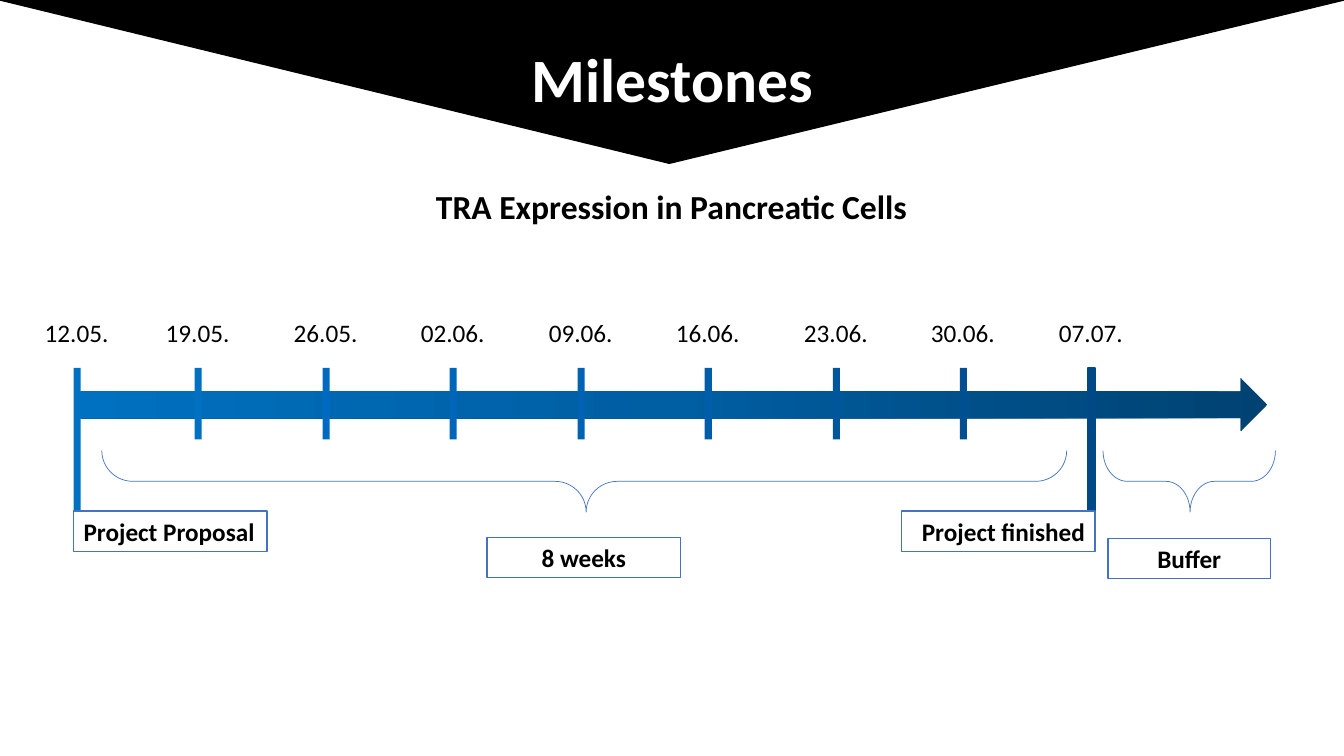
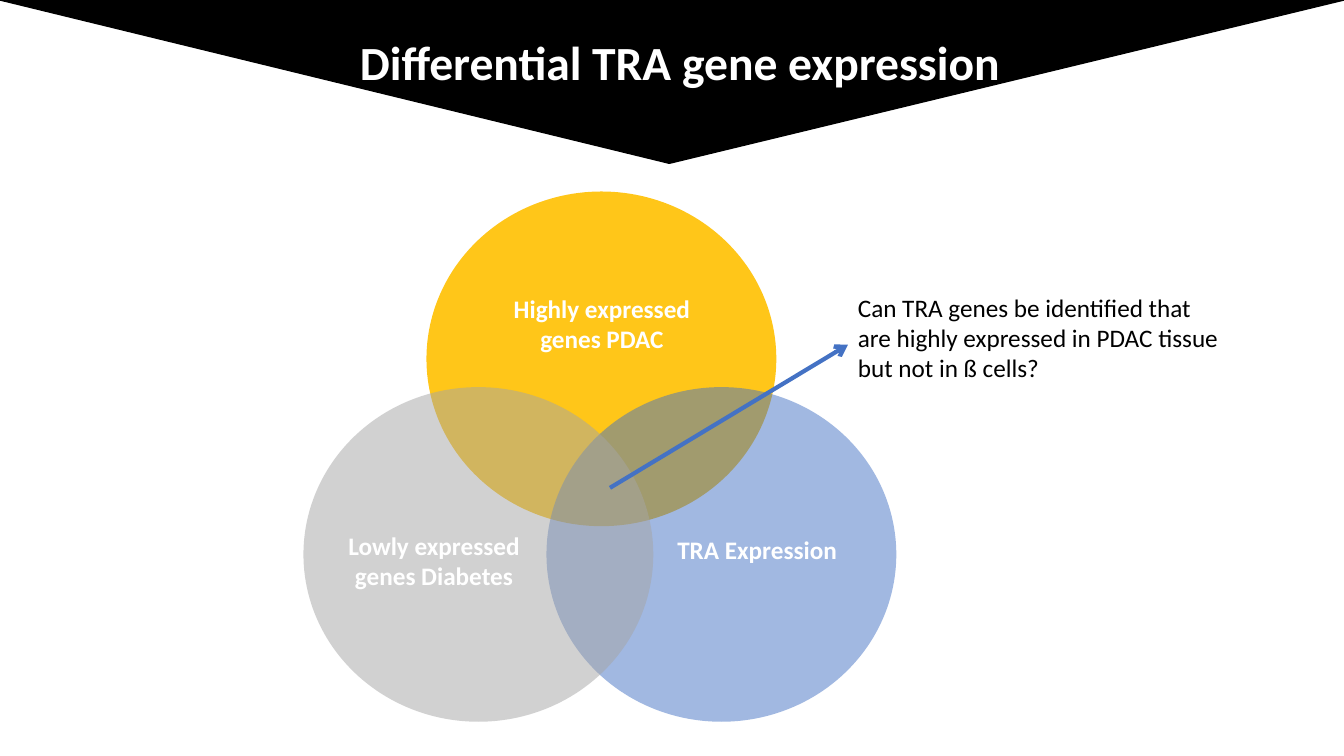
from copy import deepcopy

from lxml import etree
from pptx import Presentation
from pptx import util as u
from pptx.dml.color import RGBColor
from pptx.enum import shapes as kinds, text as t
from pptx.oxml.ns import qn

PX = u.Inches(1) // 100
SLIDE_WIDTH, SLIDE_HEIGHT = 1333, 750
FONT = "Calibri"

BLACK = RGBColor(0x00, 0x00, 0x00)
WHITE = RGBColor(0xFF, 0xFF, 0xFF)
BLUE = RGBColor(0x44, 0x72, 0xC4)
GOLD = RGBColor(0xFF, 0xC0, 0x00)
GREY = RGBColor(0xA5, 0xA5, 0xA5)
ARROW_COLOURS = [
    RGBColor(0x00, 0x42, 0x72),
    RGBColor(0x00, 0x5E, 0xA2),
    RGBColor(0x00, 0x70, 0xC0),
]

LEFT, CENTER, RIGHT = t.PP_ALIGN.LEFT, t.PP_ALIGN.CENTER, t.PP_ALIGN.RIGHT
SHAPE = kinds.MSO_SHAPE

MILESTONES = [
    ("12.05.", RGBColor(0x00, 0x70, 0xC0)),
    ("19.05.", RGBColor(0x00, 0x70, 0xC0)),
    ("26.05.", RGBColor(0x00, 0x6A, 0xC0)),
    ("02.06.", RGBColor(0x00, 0x66, 0xB9)),
    ("09.06.", RGBColor(0x00, 0x62, 0xB2)),
    ("16.06.", RGBColor(0x00, 0x5D, 0xA9)),
    ("23.06.", RGBColor(0x00, 0x56, 0x9D)),
    ("30.06.", RGBColor(0x00, 0x4F, 0x92)),
    ("07.07.", RGBColor(0x00, 0x48, 0x86)),
]
FIRST_TICK, SECOND_TICK, LAST_TICK = 73, 193, 1079
TICK_WIDTH, TICK_HEIGHT, LONG_TICK_HEIGHT = 7, 71, 143
DATE_WIDTH = 84


def px(*lengths):
    return [u.Emu(length * PX) for length in lengths]


def write(shape, content, size=18, colour=BLACK, bold=False, align=CENTER, wrap=True):
    frame = shape.text_frame
    frame.text = content
    frame.word_wrap = wrap
    paragraph = frame.paragraphs[0]
    paragraph.alignment = align
    font = paragraph.runs[0].font
    font.name, font.size, font.bold = FONT, u.Pt(size), bold
    font.color.rgb = colour


def add_shape(shapes, kind, box, fill=None, line=None, line_width=1):
    shape = shapes.add_shape(kind, *px(*box))
    shape.shadow.inherit = False
    if fill is None:
        shape.fill.background()
    else:
        shape.fill.solid()
        shape.fill.fore_color.rgb = fill
    if line is None:
        shape.line.fill.background()
    else:
        shape.line.color.rgb = line
        shape.line.width = u.Pt(line_width)
    return shape


def add_text(shapes, box, content, **style):
    write(shapes.add_textbox(*px(*box)), content, **style)


def add_callout(shapes, box, content, align=CENTER):
    callout = add_shape(shapes, SHAPE.RECTANGLE, box, WHITE, BLUE)
    write(callout, content, bold=True, align=align)


def add_brace(shapes, left, top, width, height, curl, tip):
    """Add a brace that opens upwards and fills the given box."""
    shift = (width - height) // 2
    box = (left + shift, top - shift, height, width)
    brace = add_shape(shapes, SHAPE.LEFT_BRACE, box, line=BLUE, line_width=0.5)
    brace.rotation = 270
    brace.adjustments[0], brace.adjustments[1] = curl, tip


def add_circle(shapes, left, top, colour, opacity):
    circle = add_shape(shapes, SHAPE.OVAL, (left, top, 347, 332), colour)
    colour_node = circle.fill._xPr.find(".//" + qn("a:srgbClr"))
    etree.SubElement(colour_node, qn("a:alpha"), val=str(opacity * 1000))


def add_arrow(shapes, start, end):
    arrow = shapes.add_connector(kinds.MSO_CONNECTOR.STRAIGHT, *px(*start, *end))
    arrow.line.color.rgb = BLUE
    arrow.line.width = u.Pt(3)
    etree.SubElement(arrow.line._get_or_add_ln(), qn("a:tailEnd"), type="arrow")
    etree.SubElement(arrow._element.spPr, qn("a:effectLst"))


def add_time_arrow(shapes, box):
    arrow = add_shape(shapes, SHAPE.RIGHT_ARROW, box)
    arrow.fill.gradient()
    arrow.fill.gradient_angle = 180
    stops = arrow._element.spPr.find(".//" + qn("a:gsLst"))
    stops.append(deepcopy(stops[0]))
    for stop, colour, position in zip(
        arrow.fill.gradient_stops, ARROW_COLOURS, (0, 0.5, 1)
    ):
        stop.color.rgb = colour
        stop.position = position


def add_slide(presentation, heading, box, size, align):
    """Add a slide with the black pointed band and its title."""
    slide = presentation.slides.add_slide(presentation.slide_layouts[5])
    band = add_shape(
        slide.shapes, SHAPE.ISOSCELES_TRIANGLE, (0, 0, SLIDE_WIDTH, 162), BLACK, BLACK
    )
    band.rotation = 180
    band.adjustments[0] = 0.502
    title = slide.shapes.title
    title._element.addprevious(band._element)
    title.left, title.top, title.width, title.height = px(*box)
    write(title, heading, size, WHITE, True, align)
    title.text_frame.auto_size = t.MSO_AUTO_SIZE.NONE
    title.text_frame.vertical_anchor = t.MSO_ANCHOR.MIDDLE
    title.text_frame.paragraphs[0].line_spacing = 0.9
    return slide


def add_milestones(shapes):
    last = len(MILESTONES) - 1
    step = (LAST_TICK - SECOND_TICK) / (last - 1)
    for index, (date, colour) in enumerate(MILESTONES):
        left = round(SECOND_TICK + (index - 1) * step) if index else FIRST_TICK
        height = LONG_TICK_HEIGHT if index in (0, last) else TICK_HEIGHT
        outline = colour if index == last else None
        tick = (left, 365, TICK_WIDTH, height)
        add_shape(shapes, SHAPE.RECTANGLE, tick, colour, outline)
        date_left = left + (TICK_WIDTH - DATE_WIDTH) // 2
        add_text(shapes, (date_left, 310, DATE_WIDTH, 40), date, wrap=False)


def build_timeline(presentation):
    slide = add_slide(presentation, "Milestones", (92, 9, 1150, 145), 44, CENTER)
    shapes = slide.shapes
    add_text(
        shapes, (144, 180, 1044, 50), "TRA Expression in Pancreatic Cells",
        size=24, bold=True,
    )
    add_time_arrow(shapes, (76, 375, 1181, 53))
    add_milestones(shapes)
    add_brace(shapes, 101, 447, 957, 61, 0.505, 0.502)
    add_brace(shapes, 1094, 447, 171, 61, 0.395, 0.505)
    add_callout(shapes, (73, 507, 192, 40), "Project Proposal", LEFT)
    add_callout(shapes, (894, 507, 192, 40), "Project finished", RIGHT)
    add_callout(shapes, (483, 533, 192, 40), "8 weeks")
    add_callout(shapes, (1099, 534, 161, 40), "Buffer")


def build_venn(presentation):
    slide = add_slide(
        presentation, "Differential TRA gene expression", (347, 14, 986, 101), 34, LEFT
    )
    venn = slide.shapes.add_group_shape().shapes
    add_circle(venn, 423, 190, GOLD, 90)
    add_circle(venn, 542, 384, BLUE, 50)
    add_circle(venn, 301, 384, GREY, 50)
    for box, label in (
        ((304, 521, 253, 71), "Lowly expressed genes Diabetes"),
        ((641, 525, 220, 40), "TRA Expression"),
        ((478, 286, 238, 71), "Highly expressed genes PDAC"),
    ):
        add_text(venn, box, label, colour=WHITE, bold=True)
    add_arrow(slide.shapes, (605, 484), (841, 342))
    add_text(
        slide.shapes, (841, 285, 381, 101),
        "Can TRA genes be identified that are highly expressed in PDAC tissue "
        "but not in ß cells?",
        align=LEFT,
    )


def main():
    presentation = Presentation()
    presentation.slide_width, presentation.slide_height = px(SLIDE_WIDTH, SLIDE_HEIGHT)
    build_timeline(presentation)
    build_venn(presentation)
    presentation.save("out.pptx")


if __name__ == "__main__":
    main()
